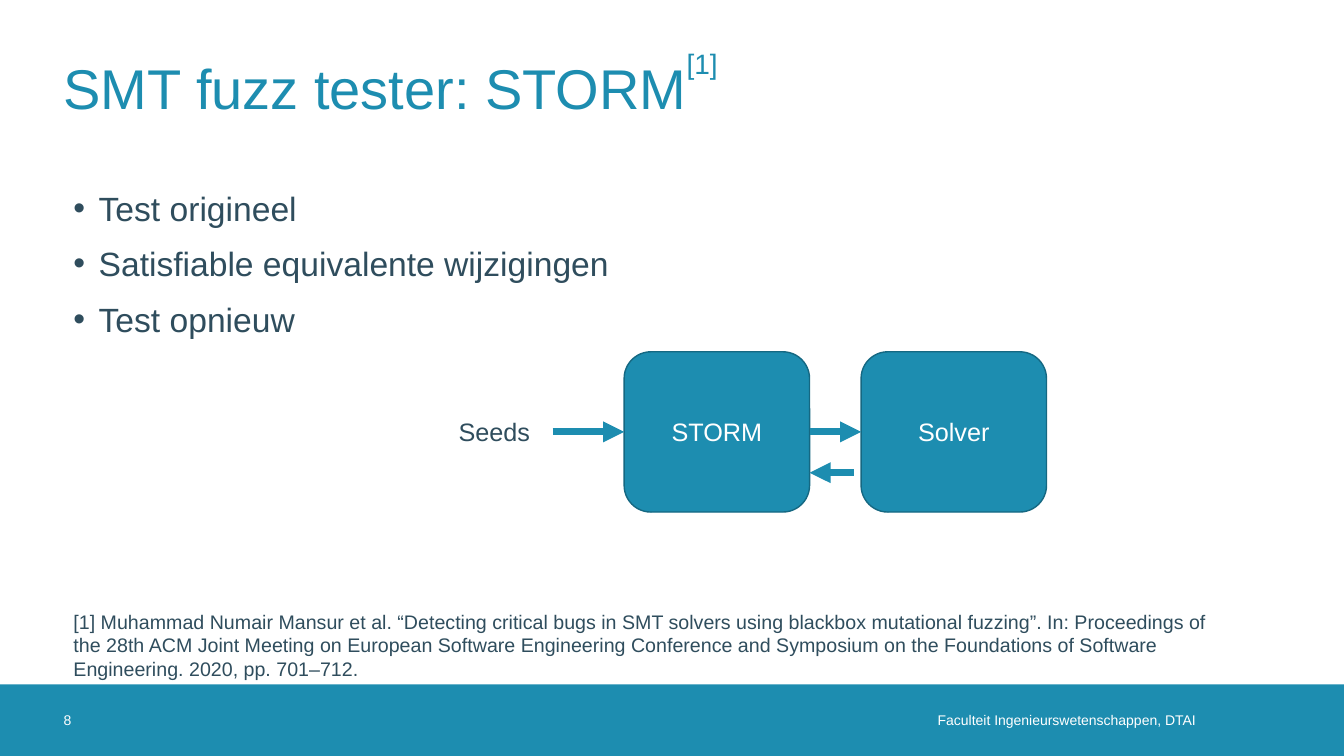
from lxml.etree import SubElement
from pptx import Presentation
from pptx.dml.color import RGBColor
from pptx.enum.shapes import MSO_CONNECTOR, MSO_SHAPE
from pptx.enum.text import MSO_ANCHOR, MSO_AUTO_SIZE, PP_ALIGN
from pptx.oxml.ns import qn
from pptx.util import Inches, Pt

WIDTH, HEIGHT = Inches(13.33), Inches(7.5)
COL, ROW = WIDTH / 100, HEIGHT / 100
BLUE, EDGE, DARK, WHITE = "1D8DB0", "156882", "2F4D5D", "FFFFFF"

MARGIN = 4.73
BAR_TOP, BAR_ROWS = 90.53, 9.47
TITLE_ROWS = 16.8
BOX_TOP, BOX_COLS, BOX_ROWS = 46.53, 13.8, 21.2
STORM_LEFT, SOLVER_LEFT = 46.44, 64.07
MIDDLE = BOX_TOP + BOX_ROWS / 2
SEEDS_LEFT, SEEDS_COLS, SEEDS_ROWS = 33.38, 7.73, 5.33
RETURN_ROW, RETURN_START = 62.53, 63.54

BULLETS = ["Test origineel", "Satisfiable equivalente wijzigingen", "Test opnieuw"]
REFERENCE = (
    "[1] Muhammad Numair Mansur et al. “Detecting critical bugs in SMT solvers "
    "using blackbox mutational fuzzing”. In: Proceedings of the 28th ACM Joint "
    "Meeting on European Software Engineering Conference and Symposium on the "
    "Foundations of Software Engineering. 2020, pp. 701–712."
)


def color(target, value):
    """Paint a fill, or colour a font, from a hex string."""
    if hasattr(target, "solid"):
        target.solid()
        target.fore_color.rgb = RGBColor.from_string(value)
    else:
        target.color.rgb = RGBColor.from_string(value)


def grid(left, top, cols, rows):
    """Turn hundredths of the slide into lengths."""
    return round(left * COL), round(top * ROW), round(cols * COL), round(rows * ROW)


def add_run(p, text, size, ink):
    r = p.add_run()
    r.text = text
    r.font.name = "Arial"
    r.font.size = Pt(size)
    color(r.font, ink)


def set_frame(tf, anchor, insets=None):
    tf.word_wrap = True
    tf.auto_size = MSO_AUTO_SIZE.NONE
    tf.vertical_anchor = anchor
    if insets is not None:
        tf.margin_left, tf.margin_top, tf.margin_right, tf.margin_bottom = map(Inches, insets)


def add_text(s, place, text, size, ink, anchor=MSO_ANCHOR.TOP, insets=None,
             align=PP_ALIGN.LEFT):
    sp = s.shapes.add_textbox(*grid(*place))
    set_frame(sp.text_frame, anchor, insets)
    p = sp.text_frame.paragraphs[0]
    p.alignment = align
    add_run(p, text, size, ink)
    return sp


def add_title(s, text):
    sp = s.shapes.title
    sp.left, sp.top, sp.width, sp.height = grid(MARGIN, 3.07, 90.55, TITLE_ROWS)
    set_frame(sp.text_frame, MSO_ANCHOR.MIDDLE, (0, 0, 0, 0))
    p = sp.text_frame.paragraphs[0]
    p.alignment = PP_ALIGN.LEFT
    add_run(p, text, 40, BLUE)


def add_bullets(s, place, items):
    tf = s.shapes.add_textbox(*grid(*place)).text_frame
    set_frame(tf, MSO_ANCHOR.TOP)
    for i, item in enumerate(items):
        p = tf.add_paragraph() if i else tf.paragraphs[0]
        p_pr = p._p.get_or_add_pPr()
        p_pr.set("marL", str(Inches(0.25)))
        p_pr.set("indent", str(-Inches(0.25)))
        SubElement(p_pr, qn("a:buFont")).set("typeface", "Arial")
        SubElement(p_pr, qn("a:buChar")).set("char", "•")
        if i:
            p.space_before = Pt(11)
        add_run(p, item, 24, DARK)


def add_bar(s):
    sp = s.shapes.add_shape(MSO_SHAPE.RECTANGLE, *grid(0, BAR_TOP, 100, BAR_ROWS))
    sp.shadow.inherit = False
    color(sp.fill, BLUE)
    sp.line.fill.background()


def add_box(s, left, text):
    sp = s.shapes.add_shape(MSO_SHAPE.ROUNDED_RECTANGLE,
                            *grid(left, BOX_TOP, BOX_COLS, BOX_ROWS))
    sp.shadow.inherit = False
    color(sp.fill, BLUE)
    color(sp.line.fill, EDGE)
    sp.line.width = Pt(1)
    set_frame(sp.text_frame, MSO_ANCHOR.MIDDLE)
    p = sp.text_frame.paragraphs[0]
    p.alignment = PP_ALIGN.CENTER
    add_run(p, text, 18, WHITE)
    return sp


def add_arrow(s, start, end, row):
    x1, y, x2, _ = grid(start, row, end, 0)
    arrow = s.shapes.add_connector(MSO_CONNECTOR.STRAIGHT, x1, y, x2, y)
    color(arrow.line.fill, BLUE)
    arrow.line.width = Pt(5)
    SubElement(arrow.line._get_or_add_ln(), qn("a:tailEnd")).set("type", "triangle")
    SubElement(arrow._element.spPr, qn("a:effectLst"))
    return arrow


def join(s, source, target, start, end):
    """Draw an arrow from the right side of source to the left side of target."""
    arrow = add_arrow(s, start, end, MIDDLE)
    arrow.begin_connect(source, 3)
    arrow.end_connect(target, 1)


def add_flow(s):
    storm = add_box(s, STORM_LEFT, "STORM")
    solver = add_box(s, SOLVER_LEFT, "Solver")
    seeds = add_text(s, (SEEDS_LEFT, MIDDLE - SEEDS_ROWS / 2, SEEDS_COLS, SEEDS_ROWS),
                     "Seeds", 18, DARK)
    storm_right = STORM_LEFT + BOX_COLS
    join(s, seeds, storm, SEEDS_LEFT + SEEDS_COLS, STORM_LEFT)
    join(s, storm, solver, storm_right, SOLVER_LEFT)
    add_arrow(s, RETURN_START, storm_right, RETURN_ROW)


def main():
    prs = Presentation()
    prs.slide_width, prs.slide_height = WIDTH, HEIGHT
    s = prs.slides.add_slide(prs.slide_layouts[5])
    add_bar(s)
    add_text(s, (49.5, BAR_TOP, 40.96, BAR_ROWS), "Faculteit Ingenieurswetenschappen, DTAI",
             10, WHITE, MSO_ANCHOR.MIDDLE, (0, 0, 0.2, 0), PP_ALIGN.RIGHT)
    add_text(s, (MARGIN, BAR_TOP, 5.33, BAR_ROWS), "8", 10, WHITE,
             MSO_ANCHOR.MIDDLE, (0, 0, 0, 0))
    add_title(s, "SMT fuzz tester: STORM")
    add_text(s, (51.09, 0, 6.98, TITLE_ROWS), "[1]", 20, BLUE,
             MSO_ANCHOR.MIDDLE, (0, 0, 0, 0))
    add_bullets(s, (MARGIN, 24.13, 89.8, 39.73), BULLETS)
    add_flow(s)
    add_text(s, (MARGIN, 80, 86.65, 10.8), REFERENCE, 14, DARK)
    prs.save("out.pptx")


if __name__ == "__main__":
    main()
